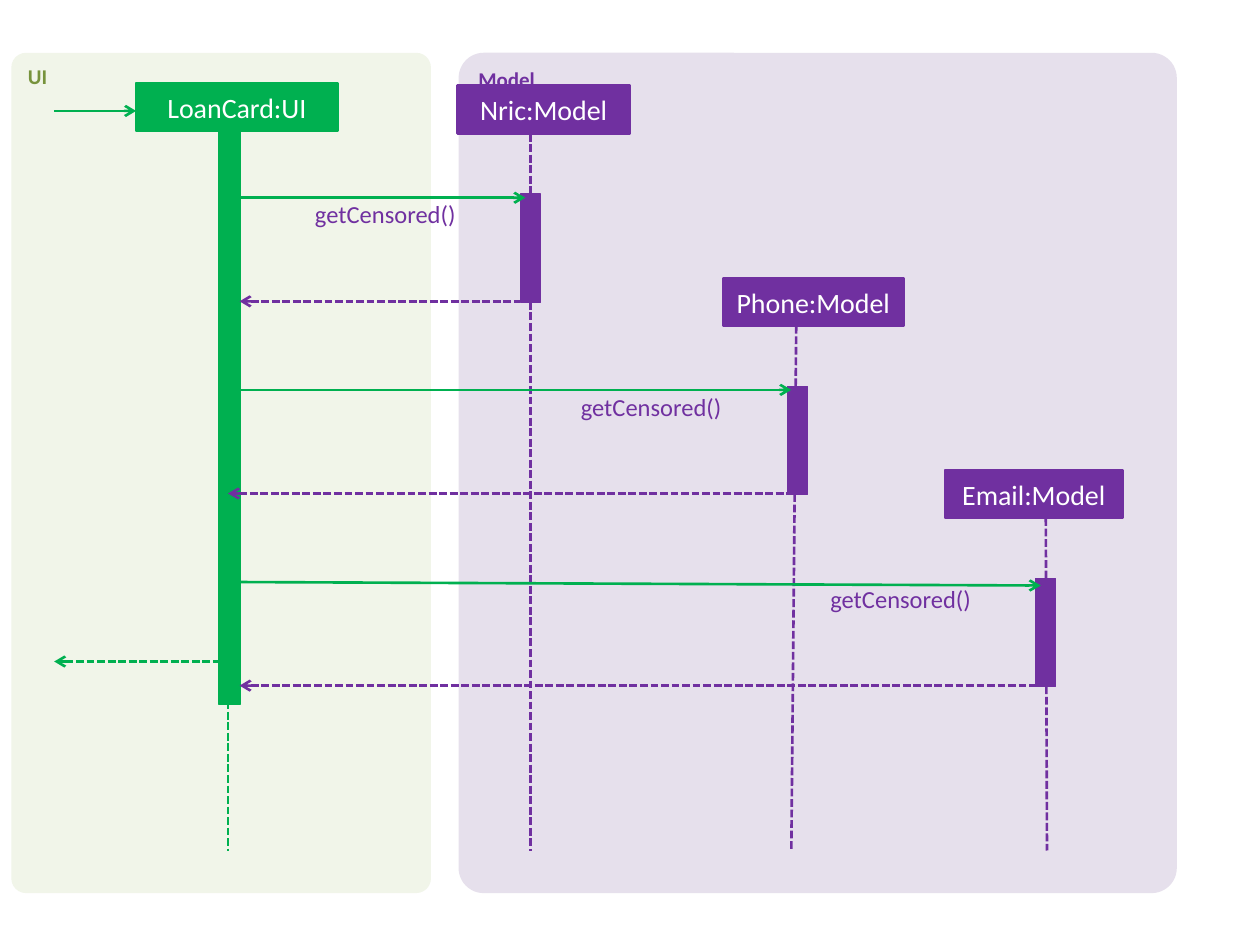
from dataclasses import dataclass
from lxml import etree
from pptx import Presentation
from pptx.dml.color import RGBColor
from pptx.enum.dml import MSO_LINE
from pptx.enum.shapes import MSO_CONNECTOR, MSO_SHAPE
from pptx.enum.text import MSO_ANCHOR, MSO_AUTO_SIZE, PP_ALIGN
from pptx.oxml.ns import qn
from pptx.util import Pt

RECT, ROUND = MSO_SHAPE.RECTANGLE, MSO_SHAPE.ROUNDED_RECTANGLE
STRAIGHT, DASH = MSO_CONNECTOR.STRAIGHT, MSO_LINE.SQUARE_DOT
LEFT, CENTER = PP_ALIGN.LEFT, PP_ALIGN.CENTER
TOP, MIDDLE = MSO_ANCHOR.TOP, MSO_ANCHOR.MIDDLE
GREEN, PURPLE, WHITE = "00B050", "7030A0", "FFFFFF"
HEAD, TAIL = "a:headEnd", "a:tailEnd"
FIRST, STEP, FOOT = 49, 109.8, 486
BAR_EDGE = 136.9


@dataclass
class Panel:
    name: str
    left: float
    width: float
    fill: str
    ink: str


@dataclass
class Model:
    name: str
    left: float
    width: float
    bar: float
    life: tuple[float, float]
    call: float
    back: float
    label: float
    drop: float = 0


PANELS = [
    Panel("Model", 262.1, 410.4, "E6E0EC", PURPLE),
    Panel("UI", 6.5, 239.8, "F1F5E9", "77933C"),
]
MODELS = [
    Model("Nric:Model", 261.4, 98.6, 297.4, (303.1, 303.1), 300.2, BAR_EDGE, 180),
    Model("Phone:Model", 413.3, 103, 450, (455, 452.2), 452.2, 130.3, 331.9),
    Model("Email:Model", 540, 101.5, 591.8, (597.6, 598.3), 594.7, BAR_EDGE, 474.5, 2),
]

deck = Presentation()
deck.slide_width, deck.slide_height = Pt(720), Pt(540)
slide = deck.slides.add_slide(deck.slide_layouts[6])


def color(code: str) -> RGBColor:
    return RGBColor.from_string(code)


def write(shape, text: str, *, size: float, ink: str, bold: bool = False,
          align=LEFT, anchor=TOP) -> None:
    frame = shape.text_frame
    frame.word_wrap = True
    frame.vertical_anchor = anchor
    para = frame.paragraphs[0]
    para.alignment = align
    run = para.add_run()
    run.text = text
    run.font.name = "Calibri"
    run.font.size = Pt(size)
    run.font.bold = bold
    run.font.color.rgb = color(ink)


def block(left: float, top: float, width: float, height: float, fill: str,
          edge: float = 0, kind=RECT):
    shape = slide.shapes.add_shape(kind, Pt(left), Pt(top), Pt(width), Pt(height))
    shape.shadow.inherit = False
    shape.fill.solid()
    shape.fill.fore_color.rgb = color(fill)
    if edge:
        shape.line.color.rgb = color(fill)
        shape.line.width = Pt(edge)
    else:
        shape.line.fill.background()
    return shape


def title(text: str, left: float, top: float, width: float, fill: str) -> None:
    shape = block(left, top, width, 27.4, fill, 1.5)
    write(shape, text, size=16, ink=WHITE, align=CENTER, anchor=MIDDLE)


def link(x1: float, y1: float, x2: float, y2: float, ink: str,
         dash: bool = False, tip: str = "") -> None:
    line = slide.shapes.add_connector(STRAIGHT, Pt(x1), Pt(y1), Pt(x2), Pt(y2))
    line.line.color.rgb = color(ink)
    line.line.width = Pt(1.5)
    if dash:
        line.line.dash_style = DASH
    if tip:
        etree.SubElement(line.line._get_or_add_ln(), qn(tip), type="arrow")
    etree.SubElement(line._element.spPr, qn("a:effectLst"))


def label(text: str, left: float, top: float) -> None:
    box = slide.shapes.add_textbox(Pt(left), Pt(top), Pt(95.8), Pt(17))
    frame = box.text_frame
    frame.margin_left = frame.margin_right = 0
    frame.margin_top = frame.margin_bottom = 0
    frame.auto_size = MSO_AUTO_SIZE.SHAPE_TO_FIT_TEXT
    write(box, text, size=14, ink=PURPLE)


def draw_model(item: Model, top: float) -> None:
    title(item.name, item.left, top, item.width, PURPLE)
    link(item.life[0], top + 27.4, item.life[1], FOOT, PURPLE, dash=True)
    block(item.bar, top + 61.9, 11.5, 61.9, PURPLE, 0.75)
    call = top + 64
    link(BAR_EDGE, call, item.call, call + item.drop, GREEN, tip=TAIL)
    label("getCensored()", item.label, top + 65)
    link(item.back, top + 123.2, item.bar, top + 123.2, PURPLE, dash=True, tip=HEAD)


for panel in PANELS:
    area = block(panel.left, 30.2, panel.width, 480.2, panel.fill, kind=ROUND)
    area.adjustments[0] = 0.035
    write(area, panel.name, size=12, ink=panel.ink, bold=True)

title("LoanCard:UI", 77.8, 47.5, 115.2, GREEN)
link(130.3, 76.3, 130.3, FOOT, GREEN, dash=True)
block(125.1, 74.2, 12.2, 328.3, GREEN, 0.75)
link(31, 63.4, 77.8, 63.4, GREEN, tip=TAIL)
link(31, 378, 125.1, 378, GREEN, dash=True, tip=HEAD)

for row, model in enumerate(MODELS):
    draw_model(model, FIRST + row * STEP)

deck.save("out.pptx")
